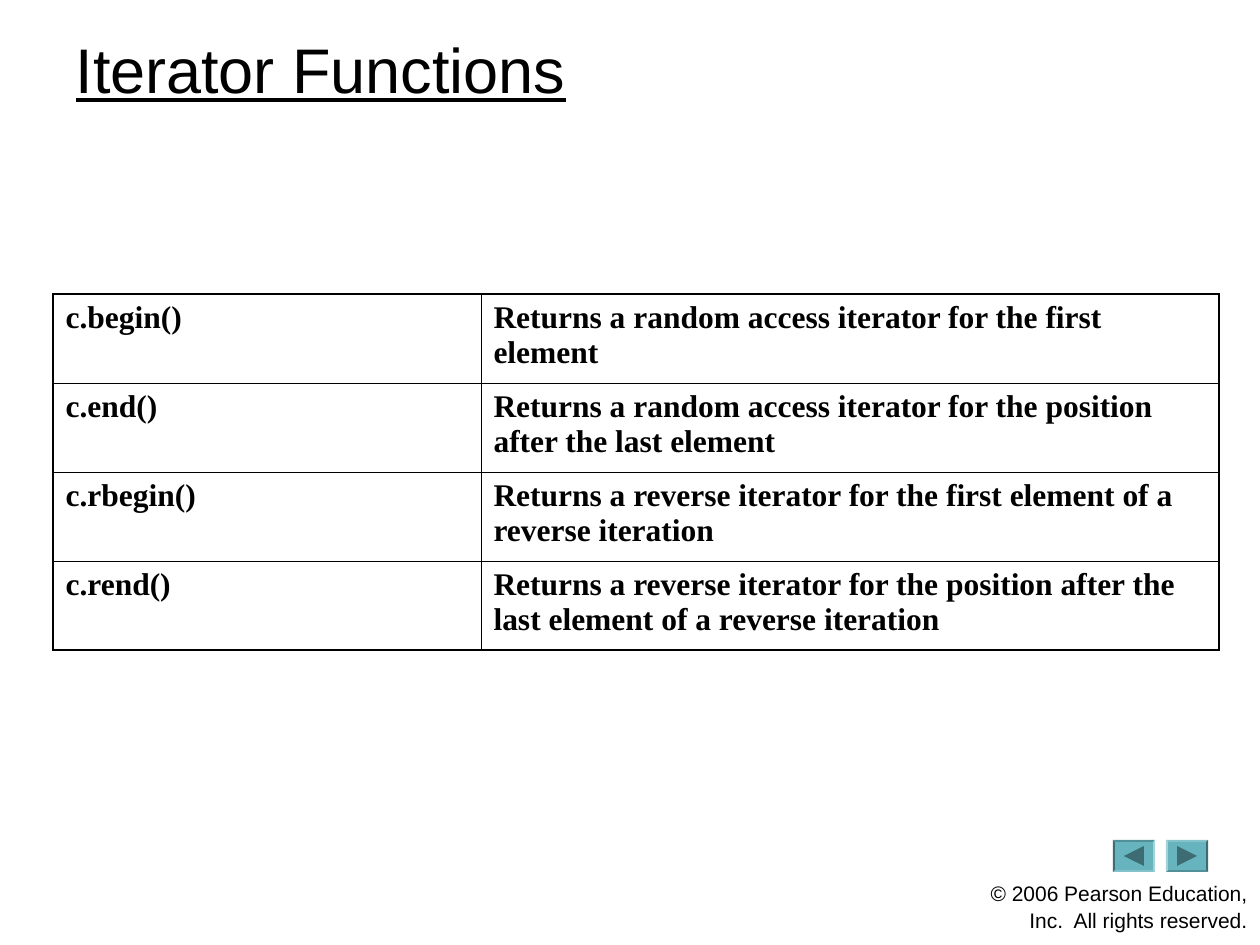
from pptx import Presentation, util as u
from pptx.dml.color import RGBColor
from pptx.enum import shapes, text
from pptx.oxml import parse_xml
from pptx.oxml.ns import nsdecls

BLACK = RGBColor(0x00, 0x00, 0x00)
TEAL = RGBColor(0x67, 0xB4, 0xBF)
DARK_TEAL = RGBColor(0x3E, 0x6C, 0x73)
THIN, THICK = u.Pt(0.45), u.Pt(1.08)

FUNCTIONS = [
    ("c.begin()", "Returns a random access iterator for the first element"),
    ("c.end()", "Returns a random access iterator for the position after the last element"),
    ("c.rbegin()", "Returns a reverse iterator for the first element of a reverse iteration"),
    ("c.rend()", "Returns a reverse iterator for the position after the last element "
                 "of a reverse iteration"),
]
COLUMN_WIDTHS = (428, 738)
ROW_HEIGHT = 89


def px(length):
    return u.Emu(round(length * 914400 / 126))


def format_text(frame, name, size, bold=False, underline=False):
    para = frame.paragraphs[0]
    for span in para.runs:
        font = span.font
        font.name, font.size = name, u.Pt(size)
        font.bold, font.underline = bold, underline
        font.color.rgb = BLACK
    return para


def add_title(page, title):
    box = page.shapes.title
    box.left, box.top, box.width, box.height = px(63), px(21), px(1197), px(88)
    frame = box.text_frame
    frame.text = title
    frame.vertical_anchor = text.MSO_ANCHOR.MIDDLE
    para = format_text(frame, "Arial", 36, underline=True)
    para.alignment = text.PP_ALIGN.LEFT
    para.line_spacing = 1.08


def set_borders(cell, widths):
    """Draw the left, right, top and bottom cell borders in the given widths."""
    properties = cell._tc.get_or_add_tcPr()
    for index, (side, width) in enumerate(zip("LRTB", widths)):
        properties.insert(index, parse_xml(
            f'<a:ln{side} {nsdecls("a")} w="{width}"><a:solidFill>'
            f'<a:srgbClr val="{BLACK}"/></a:solidFill></a:ln{side}>'))


def add_function_table(page):
    last_row, last_column = len(FUNCTIONS) - 1, len(COLUMN_WIDTHS) - 1
    table = page.shapes.add_table(
        len(FUNCTIONS), len(COLUMN_WIDTHS), px(53), px(294),
        px(sum(COLUMN_WIDTHS)), px(ROW_HEIGHT * len(FUNCTIONS))).table
    table.first_row = table.horz_banding = False
    for column, width in zip(table.columns, COLUMN_WIDTHS):
        column.width = px(width)
    for r, texts in enumerate(FUNCTIONS):
        for c, wording in enumerate(texts):
            cell = table.cell(r, c)
            cell.text = wording
            cell.fill.background()
            format_text(cell.text_frame, "Times New Roman", 18, bold=True).space_after = u.Pt(16)
            outer_edges = (c == 0, c == last_column, r == 0, r == last_row)
            set_borders(cell, [THICK if outer else THIN for outer in outer_edges])


def add_filled_shape(page, kind, left, top, width, height, color, rotation):
    shape = page.shapes.add_shape(kind, px(left), px(top), px(width), px(height))
    shape.shadow.inherit = False
    shape.fill.solid()
    shape.fill.fore_color.rgb = color
    shape.line.fill.background()
    shape.rotation = rotation
    return shape


def add_arrow_button(page, left, arrow_left, turn):
    """Add a bevelled button whose arrow points right, turned by some degrees."""
    kinds = shapes.MSO_SHAPE
    button = add_filled_shape(page, kinds.BEVEL, left, 840, 42, 32, TEAL, turn)
    button.adjustments[0] = 0.06
    add_filled_shape(page, kinds.ISOSCELES_TRIANGLE, arrow_left, 846, 20, 20,
                     DARK_TEAL, (90 + turn) % 360)


def add_copyright(page, wording):
    box = page.shapes.add_textbox(px(966), px(872), px(294), px(63))
    frame = box.text_frame
    frame.word_wrap = True
    frame.text = wording
    para = format_text(frame, "Arial", 12)
    para.alignment = text.PP_ALIGN.RIGHT
    para.line_spacing = 1.08


def main():
    deck = Presentation()
    deck.slide_width, deck.slide_height = px(1260), px(945)
    page = deck.slides.add_slide(deck.slide_layouts.get_by_name("Title Only"))
    add_copyright(page, "© 2006 Pearson Education, Inc.  All rights reserved.")
    add_arrow_button(page, 1166, 1177, 0)
    add_arrow_button(page, 1113, 1124, 180)
    add_title(page, "Iterator Functions")
    add_function_table(page)
    deck.save("out.pptx")


if __name__ == "__main__":
    main()
